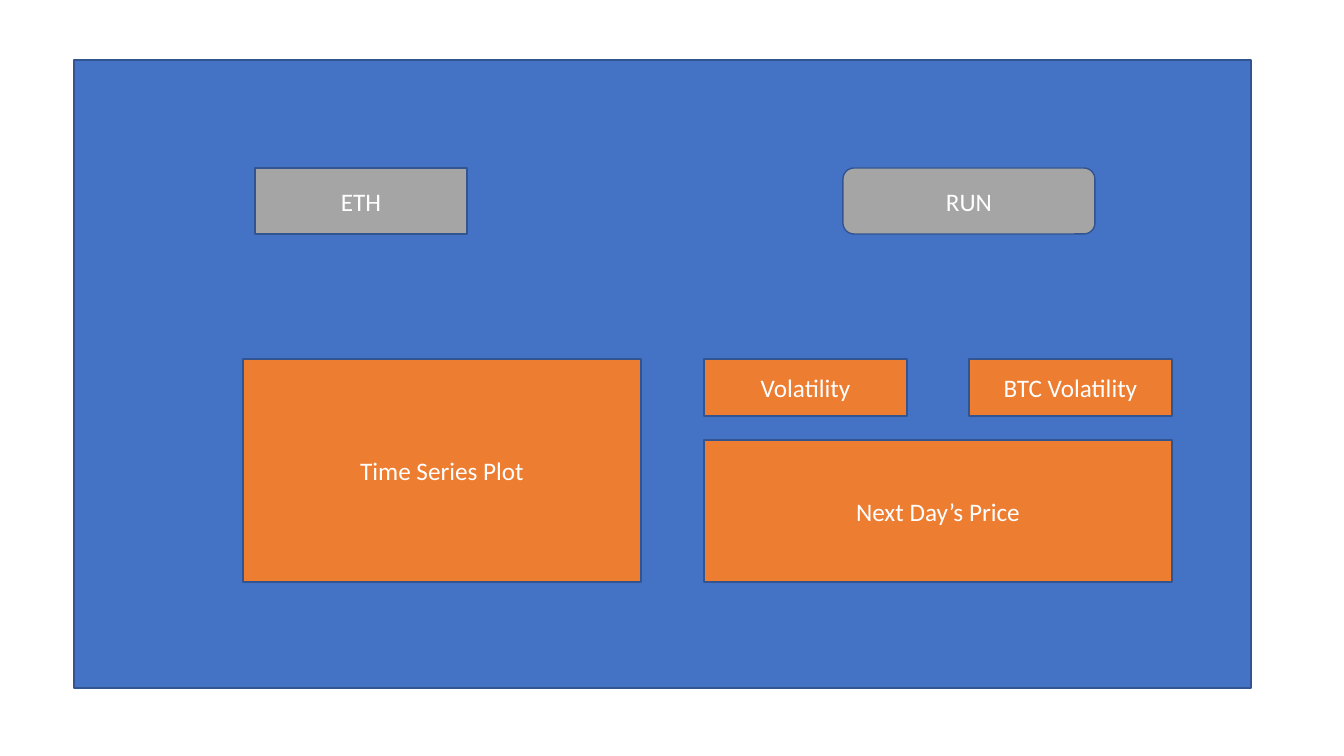
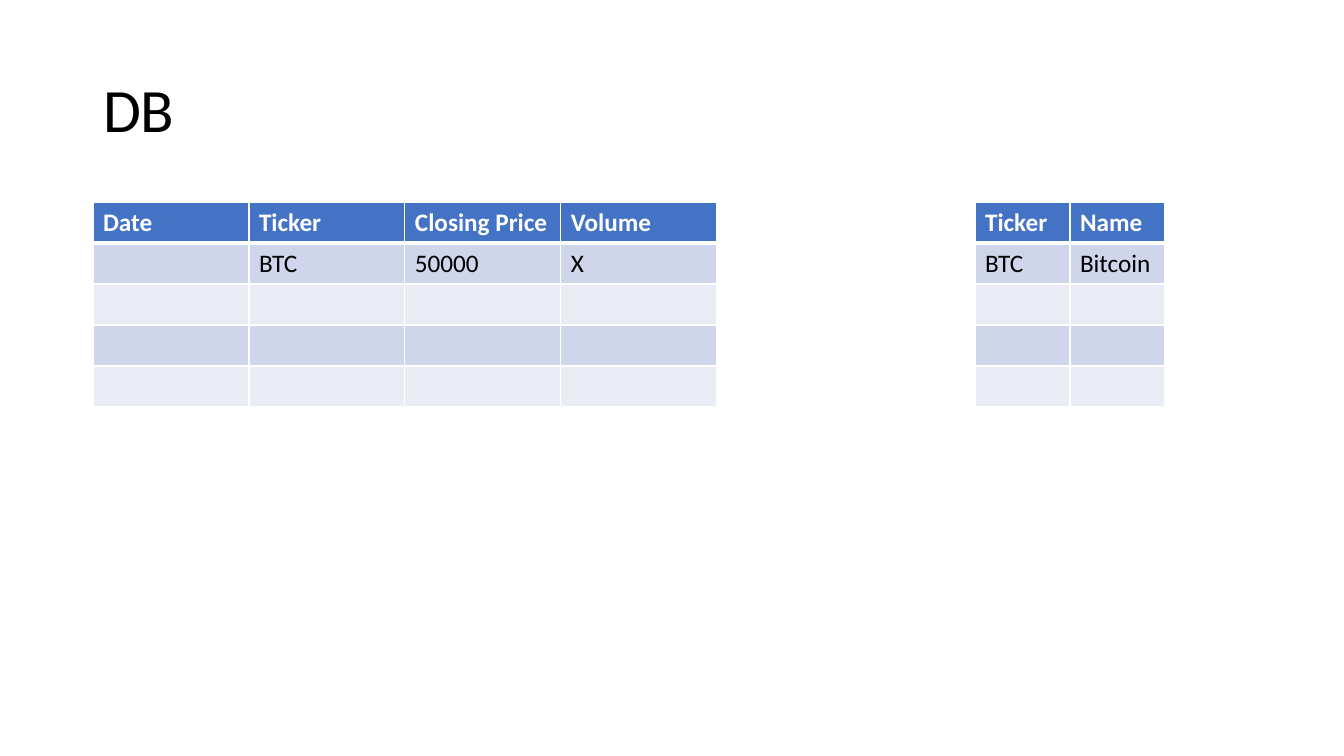
from dataclasses import dataclass

from lxml.etree import SubElement
from pptx import Presentation
from pptx.dml.color import RGBColor
from pptx.enum.shapes import MSO_SHAPE
from pptx.enum.text import MSO_ANCHOR, MSO_AUTO_SIZE, PP_ALIGN
from pptx.oxml.ns import qn
from pptx.util import Emu, Pt

EMU_PER_PIXEL = 914400 / 100.8


@dataclass(frozen=True)
class Theme:
    font: str = "Calibri"
    title_size: int = 44
    text_size: int = 18
    blue: str = "4472C4"
    outline: str = "325491"
    grey: str = "A5A5A5"
    orange: str = "ED7D31"
    band_dark: str = "CFD5EA"
    band_light: str = "E9EBF5"
    white: str = "FFFFFF"
    black: str = "000000"


THEME = Theme()


def px(value):
    return Emu(round(value * EMU_PER_PIXEL))


def color(code):
    return RGBColor.from_string(code)


def style_text(para, size, code, bold=False):
    para.font.name = THEME.font
    para.font.size = Pt(size)
    para.font.bold = bold
    para.font.color.rgb = color(code)


# Labelled boxes
def add_box(page, bounds, fill, label="", kind=MSO_SHAPE.RECTANGLE):
    box = page.shapes.add_shape(kind, *map(px, bounds))
    box.shadow.inherit = False
    box.fill.solid()
    box.fill.fore_color.rgb = color(fill)
    box.line.color.rgb = color(THEME.outline)
    box.line.width = Pt(1)
    if label:
        frame = box.text_frame
        frame.text = label
        frame.word_wrap = True
        frame.vertical_anchor = MSO_ANCHOR.MIDDLE
        para = frame.paragraphs[0]
        para.alignment = PP_ALIGN.CENTER
        style_text(para, THEME.text_size, THEME.white)


# Title placeholder
def set_title(page, text, bounds):
    title = page.shapes.title
    title.left, title.top, title.width, title.height = map(px, bounds)
    frame = title.text_frame
    frame.text = text
    frame.auto_size = MSO_AUTO_SIZE.NONE
    frame.vertical_anchor = MSO_ANCHOR.MIDDLE
    para = frame.paragraphs[0]
    para.alignment = PP_ALIGN.LEFT
    para.line_spacing = 0.9
    style_text(para, THEME.title_size, THEME.black)


# Banded tables
def set_borders(cell, top, bottom):
    properties = cell._tc.get_or_add_tcPr()
    for side, width in (("L", 1), ("R", 1), ("T", top), ("B", bottom)):
        line = SubElement(properties, qn(f"a:ln{side}"), w=str(Pt(width)))
        fill = SubElement(line, qn("a:solidFill"))
        SubElement(fill, qn("a:srgbClr"), val=THEME.white)


def add_banded_table(page, left, top, column_width, headings, record,
                     row_count=5, row_height=41):
    columns = len(headings)
    frame = page.shapes.add_table(
        row_count, columns, px(left), px(top),
        px(column_width * columns), px(row_height * row_count))
    table = frame.table
    for column in table.columns:
        column.width = px(column_width)
    texts = [headings, record] + [[""] * columns] * (row_count - 2)
    for index, row in enumerate(table.rows):
        row.height = px(row_height)
        header = index == 0
        band = THEME.band_dark if index % 2 else THEME.band_light
        for cell, text in zip(row.cells, texts[index]):
            set_borders(cell, 3 if index == 1 else 1, 3 if header else 1)
            cell.fill.solid()
            cell.fill.fore_color.rgb = color(THEME.blue if header else band)
            cell.text = text
            style_text(cell.text_frame.paragraphs[0], THEME.text_size,
                       THEME.white if header else THEME.black, header)


# Slides
def build_dashboard(deck):
    page = deck.slides.add_slide(deck.slide_layouts[6])
    add_box(page, (74, 60, 1177, 628), THEME.blue)

    # Controls
    add_box(page, (255, 168, 212, 66), THEME.grey, "ETH")
    add_box(page, (843, 168, 252, 66), THEME.grey, "RUN",
            MSO_SHAPE.ROUNDED_RECTANGLE)

    # Results
    for label, bounds in (
        ("Time Series Plot", (243, 359, 398, 223)),
        ("Volatility", (704, 359, 203, 57)),
        ("BTC Volatility", (969, 359, 203, 57)),
        ("Next Day’s Price", (704, 440, 468, 142)),
    ):
        add_box(page, bounds, THEME.orange, label)


def build_database(deck):
    page = deck.slides.add_slide(deck.slide_layouts[5])
    set_title(page, "DB", (93, 40, 1159, 146))
    add_banded_table(page, 93, 202, 156,
                     ["Date", "Ticker", "Closing Price", "Volume"],
                     ["", "BTC", "50000", "X"])
    add_banded_table(page, 975, 202, 95,
                     ["Ticker", "Name"], ["BTC", "Bitcoin"])


def main():
    deck = Presentation()
    deck.slide_width, deck.slide_height = px(1344), px(756)
    build_dashboard(deck)
    build_database(deck)
    deck.save("out.pptx")


main()
